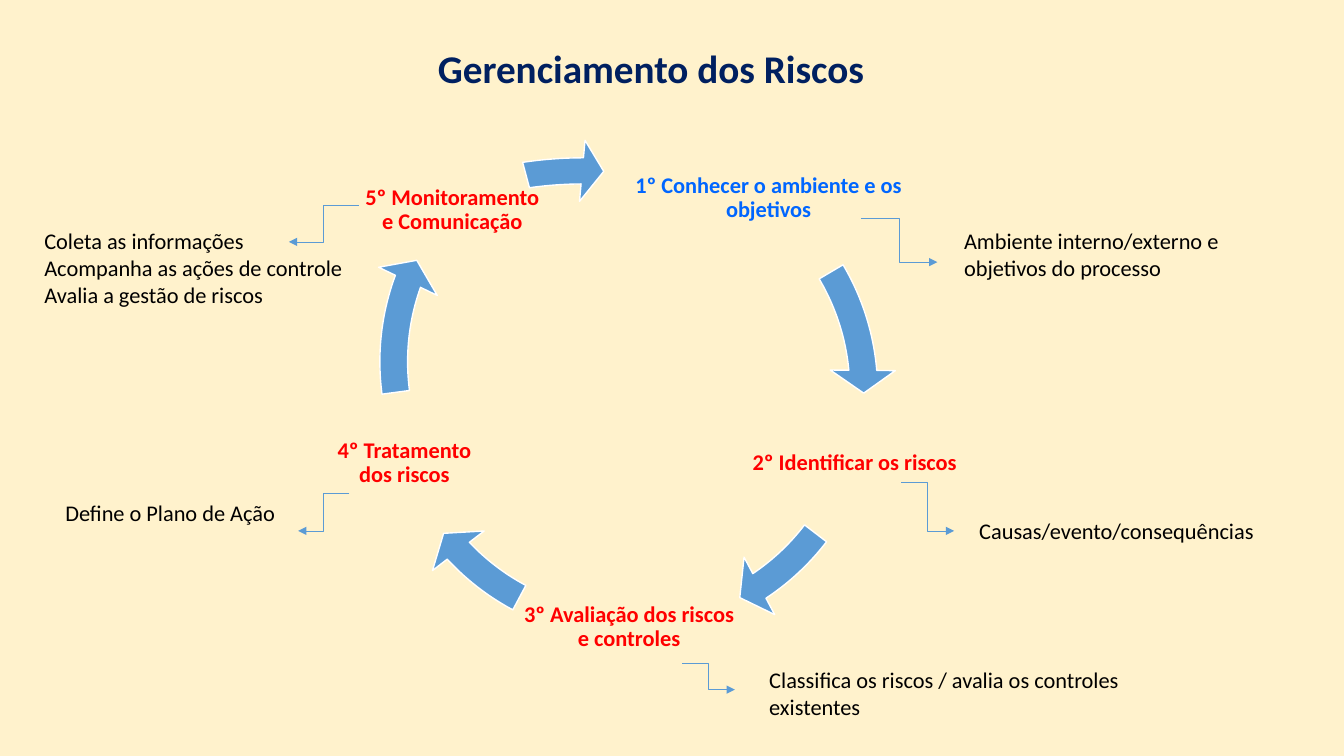
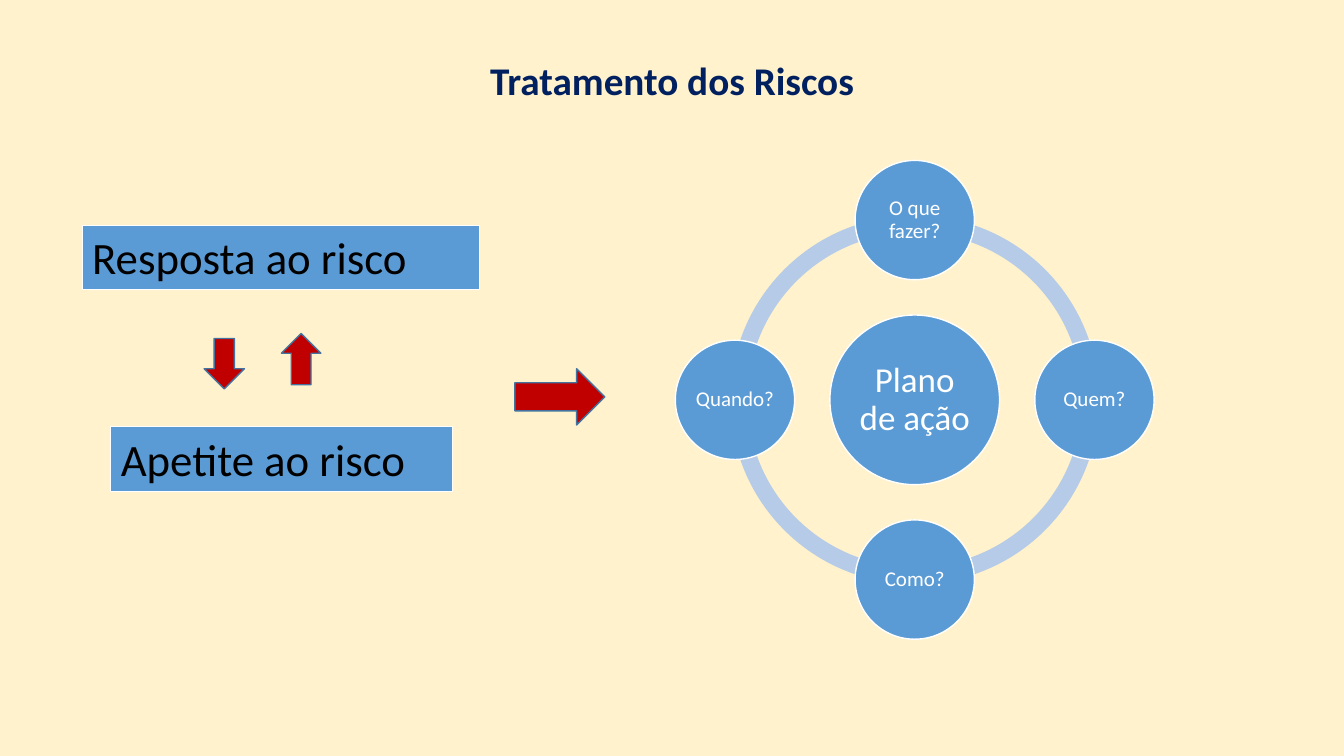
"""Builds two slides on managing and treating risks."""
import math

from lxml import etree
from pptx import Presentation
from pptx import util as u
from pptx.dml import color
from pptx.enum import shapes, text
from pptx.oxml import ns

COLUMNS, ROWS = 160, 90
FONT = "Calibri"
CREAM, NAVY, BLUE, PALE = "FFF2CC", "002060", "5B9BD5", "B5CBE7"
RED, DARK_RED, BRIGHT, STEEL = "FF0000", "C00000", "0066FF", "43739E"
BLACK, WHITE = "000000", "FFFFFF"
SHAPE = shapes.MSO_SHAPE
CENTER, LEFT = text.PP_ALIGN.CENTER, text.PP_ALIGN.LEFT
MIDDLE, TOP = text.MSO_ANCHOR.MIDDLE, text.MSO_ANCHOR.TOP


def rgb(code):
    """Turn a hex string into a colour."""
    return color.RGBColor.from_string(code)


def turn(degrees):
    """Turn degrees into an adjustment value."""
    return degrees * 0.6


class Board:
    """Holds the deck, its style and the current slide."""

    def __init__(self):
        """Start a wide deck with a cream background."""
        self.deck = Presentation()
        self.cell = u.Inches(1) / 12
        self.deck.slide_width, self.deck.slide_height = self.grid(COLUMNS, ROWS)
        fill = self.deck.slide_master.background.fill
        fill.solid()
        fill.fore_color.rgb = rgb(CREAM)
        self.page = None

    def grid(self, *cells):
        """Turn grid cells into lengths."""
        return [u.Emu(round(cell * self.cell)) for cell in cells]

    def start(self, title, place):
        """Open a page and give it a title."""
        self.page = self.deck.slides.add_slide(self.deck.slide_layouts[6])
        self.label(title, place, 28, NAVY, bold=True)

    def add_words(self, box, words, size, ink, bold=False, align=CENTER,
                  anchor=MIDDLE, spacing=0.9, margin=None):
        """Fill a shape with one paragraph per line of words."""
        frame = box.text_frame
        frame.word_wrap = True
        frame.vertical_anchor = anchor
        if margin is not None:
            inset, = self.grid(margin)
            frame.margin_left = frame.margin_right = inset
            frame.margin_top = frame.margin_bottom = inset
        for index, line in enumerate(words.split("\n")):
            para = frame.add_paragraph() if index else frame.paragraphs[0]
            para.alignment = align
            para.line_spacing = spacing
            span = para.add_run()
            span.text = line
            span.font.name, span.font.size = FONT, u.Pt(size)
            span.font.bold, span.font.color.rgb = bold, rgb(ink)

    def label(self, words, place, size, ink, **style):
        """Add a text box."""
        box = self.page.shapes.add_textbox(*self.grid(*place))
        self.add_words(box, words, size, ink, **style)

    def note(self, words, place):
        """Add a left-aligned remark."""
        self.label(words, place, 16, BLACK, align=LEFT, anchor=TOP, spacing=1.0)

    def shape(self, kind, place, fill=BLUE, line=WHITE, width=1, adjust=()):
        """Add a preset shape."""
        box = self.page.shapes.add_shape(kind, *self.grid(*place))
        box.shadow.inherit = False
        box.fill.solid()
        box.fill.fore_color.rgb = rgb(fill)
        if line:
            box.line.color.rgb, box.line.width = rgb(line), u.Pt(width)
        else:
            box.line.fill.background()
        for index, value in enumerate(adjust):
            box.adjustments[index] = value
        return box

    def cycle_arrow(self, place, begin, end):
        """Add a curved arrow between two angles."""
        self.shape(SHAPE.CIRCULAR_ARROW, place,
                   adjust=(5.2 / 100, turn(5.59), turn(end), turn(begin), 6.1 / 100))

    def disc(self, words, center, diameter, size, margin):
        """Add a circle around a centre, with text."""
        left, top = (middle - diameter / 2 for middle in center)
        box = self.shape(SHAPE.OVAL, (left, top, diameter, diameter))
        self.add_words(box, words, size, WHITE, margin=margin)

    def banner(self, words, place):
        """Add a blue box with large text."""
        box = self.shape(SHAPE.RECTANGLE, place, width=0.75)
        self.add_words(box, words, 32, BLACK, align=LEFT, anchor=TOP, spacing=1.0)

    def elbow(self, ends):
        """Add a bent arrow."""
        link = self.page.shapes.add_connector(shapes.MSO_CONNECTOR.ELBOW, *self.grid(*ends))
        link.line.color.rgb, link.line.width = rgb(BLUE), u.Pt(0.5)
        outline = link._element.spPr.find(ns.qn("a:ln"))
        etree.SubElement(outline, ns.qn("a:tailEnd"), type="triangle")
        etree.SubElement(link._element.spPr, ns.qn("a:effectLst"))


def management(board):
    """Draw the cycle of five steps."""
    board.start("Gerenciamento dos Riscos", (8.5, 4.8, 138, 7.2))
    ring = (43.2, 14.8, 63.5, 63.5)
    steps = [
        ("1º Conhecer o ambiente e os objetivos", (72, 15.2, 39, 16.9), BRIGHT,
         ring, 329.4, 354.93),
        ("2º Identificar os riscos", (85.2, 46.7, 33.1, 16.9), RED, ring, 37.42, 56.33),
        ("3º Avaliação dos riscos e controles", (61.7, 66.2, 26.4, 16.9), RED,
         ring, 118.08, 136.99),
        ("4º Tratamento dos riscos", (39.7, 46.7, 16.9, 16.9), RED,
         (43, 11.3, 63.5, 63.5), 172.46, 200.05),
        ("5º Monitoramento e Comunicação", (42.7, 19.3, 22.3, 11.5), RED,
         (30.4, 16.7, 78.2, 59.8), 255.06, 269.61),
    ]
    for words, place, ink, circle, begin, end in steps:
        board.label(words, place, 16, ink, bold=True, margin=0.2)
        board.cycle_arrow(circle, begin, end)
    notes = [
        ("Causas/evento/consequências", (115.4, 61, 35.8, 4.4), (107.3, 57.4, 113.6, 63.2)),
        ("Ambiente interno/externo e objetivos do processo", (113.6, 26.5, 35.8, 7.7),
         (102.5, 26, 111.6, 31.2)),
        ("Classifica os riscos / avalia os controles existentes", (90.4, 78.7, 46.6, 7.7),
         (81.2, 79, 87.5, 82.1)),
        ("Define o Plano de Ação", (6.6, 58.8, 34.1, 4.4), (41.6, 58.7, 35.5, 63.2)),
        ("Coleta as informações\nAcompanha as ações de controle\nAvalia a gestão de riscos",
         (4.1, 26.5, 39.1, 10.9), (42.7, 24.5, 34.4, 28.8)),
    ]
    for words, place, ends in notes:
        board.note(words, place)
        board.elbow(ends)


def treatment(board):
    """Draw the risk response and its action plan."""
    board.start("Tratamento dos Riscos", (11, 4.8, 138, 10.1))
    hub, ring, orbit = (108.9, 47.6), 43.9, 21.4
    corner = [middle - ring / 2 for middle in hub]
    questions = ["O que fazer?", "Quem?", "Como?", "Quando?"]
    quarters = [index * 360 / len(questions) for index in range(len(questions))]
    for angle in quarters:
        board.shape(SHAPE.BLOCK_ARC, (*corner, ring, ring), PALE, None,
                    adjust=(turn(angle), turn((angle + 90) % 360), 4.6 / 100))
    board.disc("Plano de ação", hub, 20.2, 25, 0.3)
    for words, angle in zip(questions, quarters):
        across, down = math.sin(math.radians(angle)), -math.cos(math.radians(angle))
        board.disc(words, (hub[0] + orbit * across, hub[1] + orbit * down), 14.2, 15, 0.2)
    board.banner("Resposta ao risco", (9.8, 26.8, 47.3, 7.7))
    board.banner("Apetite ao risco", (13.2, 50.8, 40.7, 7.7))
    arrows = [
        (SHAPE.DOWN_ARROW, (24.3, 40.3, 4.8, 6)),
        (SHAPE.UP_ARROW, (33.5, 39.7, 4.7, 6.1)),
        (SHAPE.RIGHT_ARROW, (61.3, 43.9, 10.7, 6.7)),
    ]
    for kind, place in arrows:
        board.shape(kind, place, DARK_RED, STEEL)


def main():
    """Build and save the deck."""
    board = Board()
    management(board)
    treatment(board)
    board.deck.save("out.pptx")


if __name__ == "__main__":
    main()
